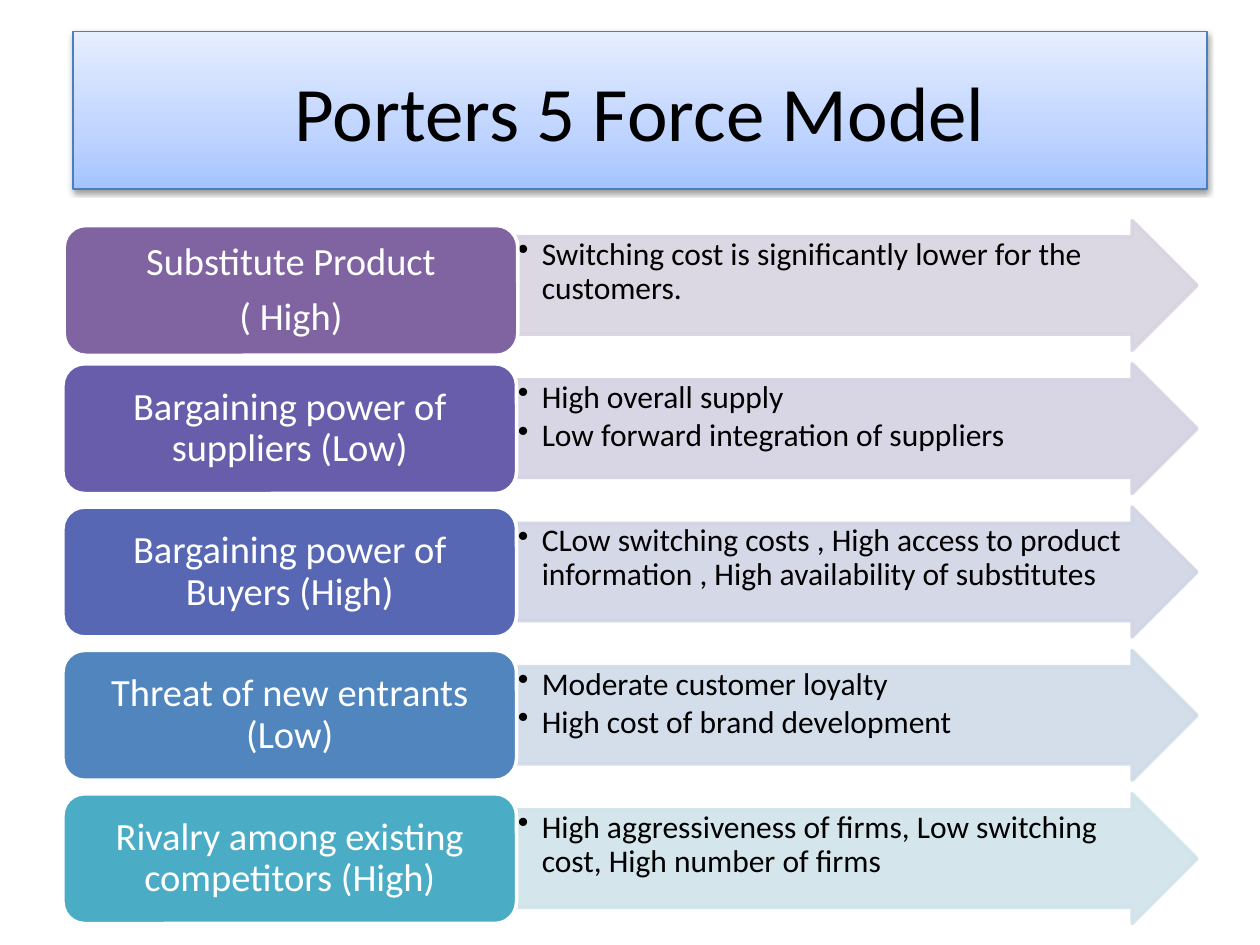
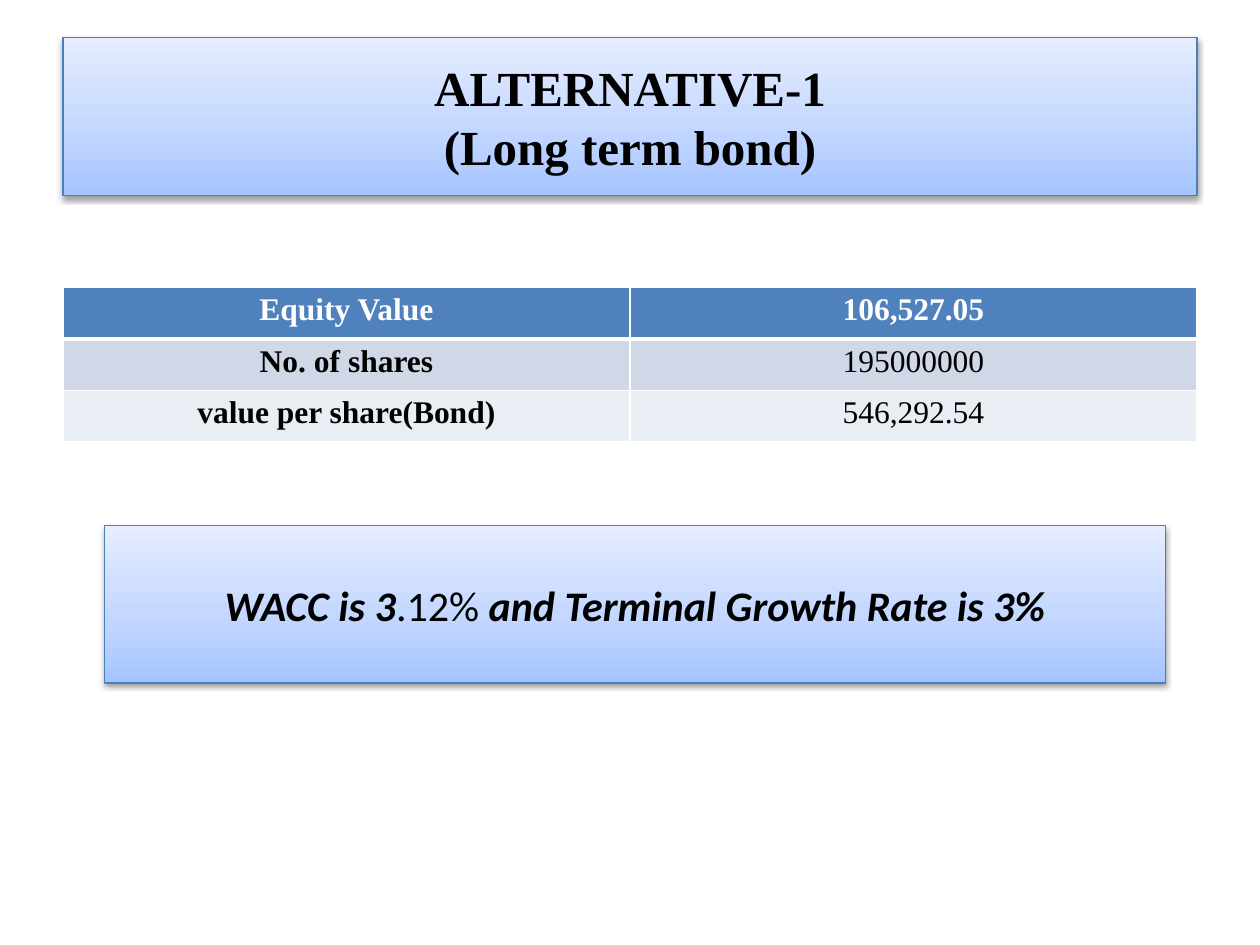
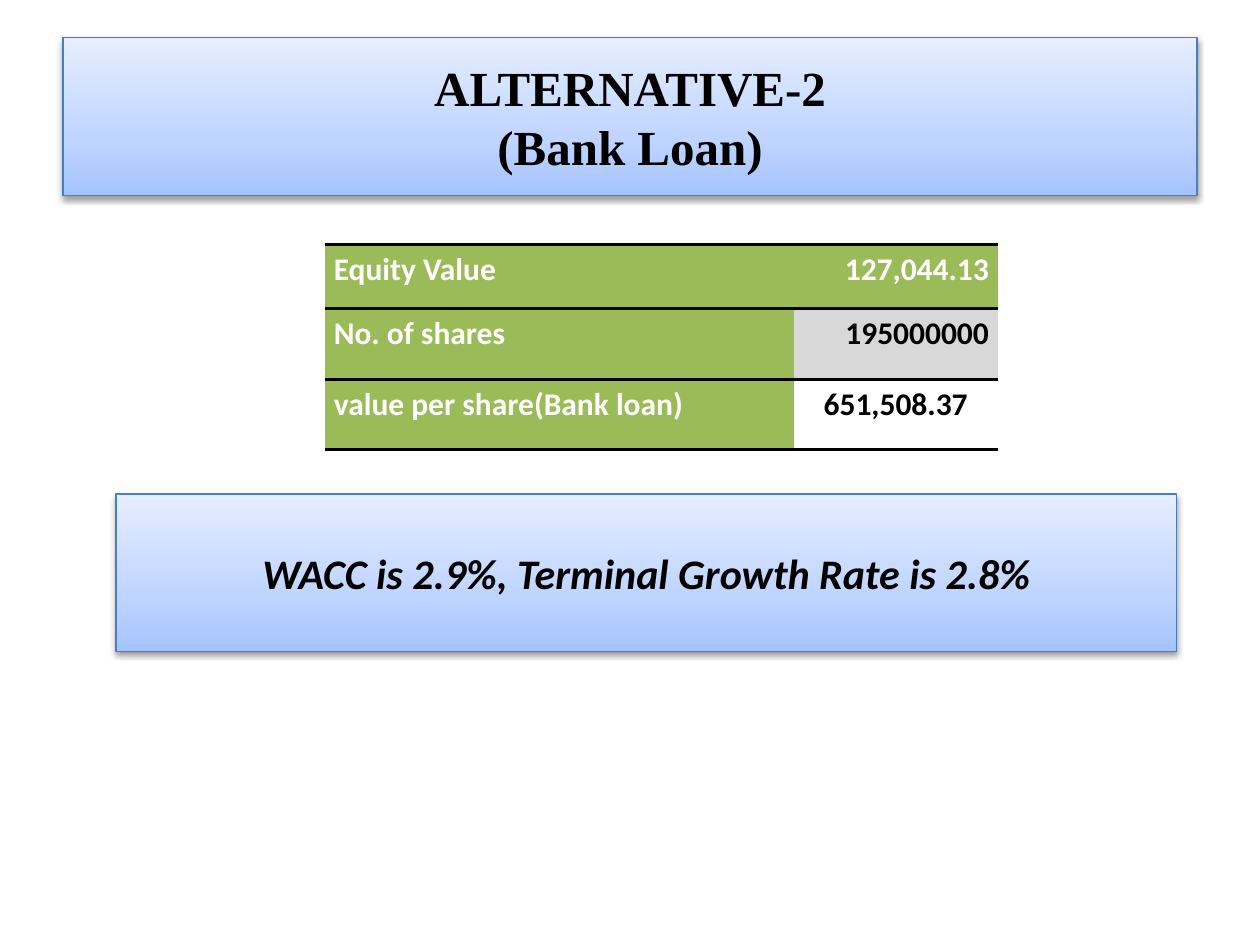
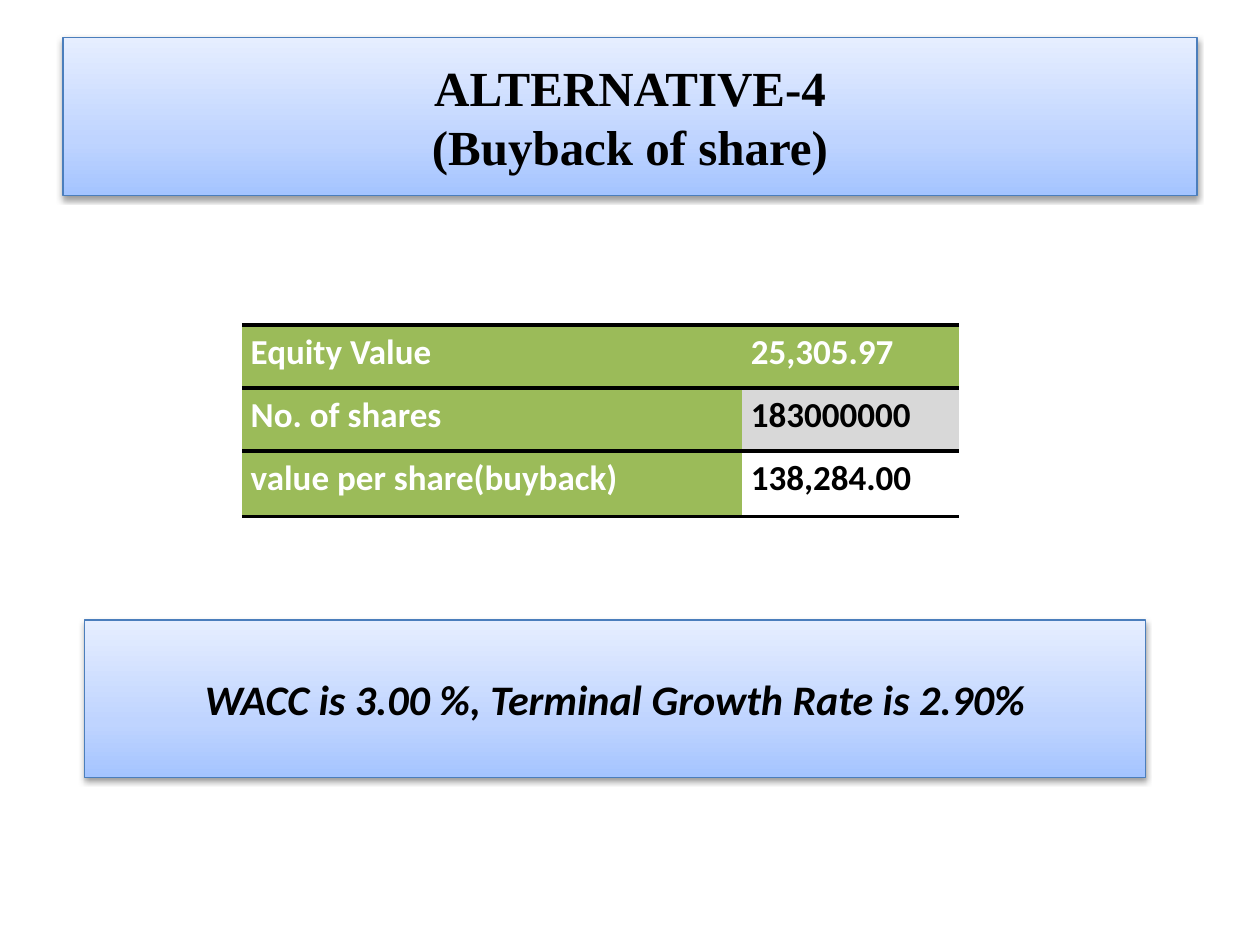
from lxml.etree import SubElement
from pptx import Presentation
from pptx.dml.color import RGBColor
from pptx.enum.shapes import MSO_SHAPE
from pptx.enum.text import MSO_ANCHOR, PP_ALIGN
from pptx.oxml import parse_xml
from pptx.oxml.ns import nsdecls, qn
from pptx.util import Inches, Pt

COLORS = {
    "black": "000000", "white": "FFFFFF", "panel_line": "4B7EBC",
    "panel_low": "A4C4FF", "panel_mid": "BFD4FF", "panel_high": "E6EEFF",
    "blue": "4F81BD", "band_dark": "D0D8E8", "band_light": "E9EDF4",
    "green": "9BBB59", "grey": "D8D8D8",
}
SANS, SERIF = "Calibri", "Times New Roman"
LEFT, CENTER, RIGHT = PP_ALIGN.LEFT, PP_ALIGN.CENTER, PP_ALIGN.RIGHT
PANEL_H = 1.25
NOTE_W = 8.42
NO_STYLE = "{2D5ABB26-0587-4C30-8999-92F81FD0307C}"

FORCES = [
    (["Substitute Product", "( High)"],
     ["Switching cost is significantly lower for the customers."],
     "8064A2", "D8D3E0", (0.01, 0.04)),
    (["Bargaining power of suppliers (Low)"],
     ["High overall supply", "Low forward integration of suppliers"],
     "685DAB", "D4D2E3", (0, 0)),
    (["Bargaining power of Buyers (High)"],
     ["CLow switching costs , High access to product information , "
      "High availability of substitutes"],
     "5767B4", "D1D4E5", (0, 0)),
    (["Threat of new entrants (Low)"],
     ["Moderate customer loyalty", "High cost of brand development"],
     "5185BD", "D0DBE8", (0, 0)),
    (["Rivalry among existing competitors (High)"],
     ["High aggressiveness of firms, Low switching cost, High number of firms"],
     "4BACC6", "D0E3EA", (0, 0)),
]
FORCE_X, FORCE_W, ARROW_W, FORCE_H = 0.5, 3.6, 5.4, 1.03
FORCE_TOP, FORCE_LAST = 1.75, 6.3

BLUE_TABLE = {
    "font": SERIF, "boxed": True,
    "fills": [("blue", "blue"), ("band_dark",) * 2, ("band_light",) * 2],
    "inks": [("white", "white"), ("black", "black"), ("black", "black")],
    "bold": [(True, True), (True, False), (True, False)],
}
GREEN_TABLE = {
    "font": SANS, "boxed": False,
    "fills": [("green", "green"), ("green", "grey"), ("green", None)],
    "inks": [("white", "white"), ("white", "black"), ("white", "black")],
    "bold": [(True, True)] * 3,
}
ALTERNATIVES = [
    {"title": "ALTERNATIVE-1\n(Long term bond)",
     "rows": [("Equity Value", "106,527.05"), ("No. of shares", "195000000"),
              ("value per share(Bond)", "546,292.54")],
     "style": BLUE_TABLE, "size": 18, "at": (0.5, 2.28),
     "cols": (4.5, 4.5), "heights": (0.41, 0.41, 0.41),
     "aligns": [(CENTER, CENTER)] * 3,
     "note": [("WACC is 3", True), (".12%", False),
              (" and Terminal Growth Rate is 3%", True)],
     "note_at": (0.83, 4.17)},
    {"title": "ALTERNATIVE-2\n(Bank Loan)",
     "rows": [("Equity Value", "127,044.13"), ("No. of shares", "195000000"),
              ("value per share(Bank loan)", "651,508.37")],
     "style": GREEN_TABLE, "size": 18, "at": (2.58, 1.94),
     "cols": (3.72, 1.62), "heights": (0.51, 0.56, 0.56),
     "aligns": [(LEFT, RIGHT), (LEFT, RIGHT), (LEFT, CENTER)],
     "note": [("WACC is 2.9%, Terminal Growth Rate is 2.8%", True)],
     "note_at": (0.92, 3.92)},
    {"title": "ALTERNATIVE-4\n(Buyback of share)",
     "rows": [("Equity Value", "25,305.97"), ("No. of shares", "183000000"),
              ("value per share(buyback)", "138,284.00")],
     "style": GREEN_TABLE, "size": 20, "at": (1.92, 2.58),
     "cols": (3.97, 1.72), "heights": (0.5, 0.5, 0.52),
     "aligns": [(LEFT, LEFT)] * 3,
     "note": [("WACC is 3.00 %, Terminal Growth Rate is 2.90%", True)],
     "note_at": (0.67, 4.92)},
]


def rgb(name):
    return RGBColor.from_string(COLORS.get(name, name))


def write(tf, paragraphs, size=18, font=SANS, color="black", bold=False,
          align=LEFT, anchor=MSO_ANCHOR.MIDDLE, spacing=None, after=None,
          bullet=False, margins=None):
    tf.word_wrap = True
    tf.vertical_anchor = anchor
    if margins:
        tf.margin_left = tf.margin_right = Inches(margins[0])
        tf.margin_top = tf.margin_bottom = Inches(margins[1])
    for i, runs in enumerate(paragraphs):
        p = tf.add_paragraph() if i else tf.paragraphs[0]
        p.alignment = align
        if spacing:
            p.line_spacing = spacing
        if after:
            p.space_after = Pt(after)
        if bullet:
            p.level = 1
            pPr = p._p.get_or_add_pPr()
            pPr.set("marL", str(Inches(0.19)))
            pPr.set("indent", str(-Inches(0.19)))
            SubElement(pPr, qn("a:buChar")).set("char", "•")
        for text, strong in [(runs, None)] if isinstance(runs, str) else runs:
            for j, line in enumerate(text.split("\n")):
                if j:
                    p.add_line_break()
                r = p.add_run()
                r.text = line
                r.font.size, r.font.name = Pt(size), font
                r.font.color.rgb = rgb(color)
                r.font.bold = bold if strong is None else strong
                r.font.italic = bool(strong)


def place(sp, x, y, w, h):
    sp.left, sp.top, sp.width, sp.height = map(Inches, (x, y, w, h))


def style_panel(sp):
    stops = "".join(
        f'<a:gs pos="{pos * 1000}"><a:srgbClr val="{COLORS[name]}"/></a:gs>'
        for pos, name in [(0, "panel_low"), (35, "panel_mid"), (100, "panel_high")])
    spPr = sp._element.spPr
    spPr.append(parse_xml(
        f'<a:gradFill {nsdecls("a")} rotWithShape="1"><a:gsLst>{stops}</a:gsLst>'
        '<a:lin ang="16200000" scaled="0"/></a:gradFill>'))
    sp.line.color.rgb = rgb("panel_line")
    sp.line.width = Pt(0.75)
    spPr.append(parse_xml(
        f'<a:effectLst {nsdecls("a")}><a:outerShdw blurRad="{Pt(3.1)}" '
        f'dist="{Pt(1.6)}" dir="5400000" rotWithShape="0">'
        f'<a:srgbClr val="{COLORS["black"]}"><a:alpha val="38000"/></a:srgbClr>'
        '</a:outerShdw></a:effectLst>'))


def titled_slide(prs, text, x, y, **fmt):
    slide = prs.slides.add_slide(prs.slide_layouts[5])
    title = slide.shapes.title
    place(title, x, y, 9, PANEL_H)
    style_panel(title)
    write(title.text_frame, [text], align=CENTER, **fmt)
    return slide


def add_block(slide, kind, x, y, w, fill, line, alpha=None):
    sp = slide.shapes.add_shape(kind, *map(Inches, (x, y, w, FORCE_H)))
    sp.shadow.inherit = False
    sp.fill.solid()
    sp.fill.fore_color.rgb = rgb(fill)
    sp.line.color.rgb = rgb(line)
    sp.line.width = Pt(2)
    if alpha:
        for clr in sp._element.spPr.iter(qn("a:srgbClr")):
            SubElement(clr, qn("a:alpha")).set("val", str(alpha * 1000))
    return sp


def build_forces(prs):
    slide = titled_slide(prs, "Porters 5 Force Model", 0.58, 0.25, size=44)
    pitch = (FORCE_LAST - FORCE_TOP) / (len(FORCES) - 1)
    for i, (name, points, dark, pale, (dx, dy)) in enumerate(FORCES):
        y = FORCE_TOP + i * pitch
        arrow = add_block(slide, MSO_SHAPE.RIGHT_ARROW, FORCE_X + FORCE_W, y,
                          ARROW_W, pale, pale, alpha=90)
        arrow.adjustments[0] = 0.75
        write(arrow.text_frame, points, anchor=MSO_ANCHOR.TOP, spacing=0.9,
              after=2.5, bullet=True, margins=(0.01, 0.01))
        box = add_block(slide, MSO_SHAPE.ROUNDED_RECTANGLE, FORCE_X + dx, y + dy,
                        FORCE_W, dark, "white")
        write(box.text_frame, name, size=22, color="white", align=CENTER,
              spacing=0.9, after=8, margins=(0.09, 0.05))


def cell_borders(row, last, boxed):
    if boxed:
        widths = {"L": 1, "R": 1, "T": 3 if row == 1 else 1, "B": 1 if row else 3}
        return "white", widths
    sides = {0: "TB", 1: "T", last: "B"}.get(row, "")
    return "black", {side: 2.25 for side in sides}


def set_borders(cell, color, widths):
    tcPr = cell._tc.get_or_add_tcPr()
    for side in "LRTB":
        if side in widths:
            ln = SubElement(tcPr, qn(f"a:ln{side}"), w=str(Pt(widths[side])))
            fill = SubElement(ln, qn("a:solidFill"))
            SubElement(fill, qn("a:srgbClr"), val=COLORS[color])


def add_value_table(slide, alt):
    rows, style = alt["rows"], alt["style"]
    size = (sum(alt["cols"]), sum(alt["heights"]))
    frame = slide.shapes.add_table(len(rows), len(alt["cols"]),
                                   *map(Inches, alt["at"] + size))
    table = frame.table
    table._tbl.tblPr.find(qn("a:tableStyleId")).text = NO_STYLE
    for col, width in zip(table.columns, alt["cols"]):
        col.width = Inches(width)
    for i, texts in enumerate(rows):
        table.rows[i].height = Inches(alt["heights"][i])
        for j, text in enumerate(texts):
            cell = table.cell(i, j)
            write(cell.text_frame, [text], size=alt["size"], font=style["font"],
                  color=style["inks"][i][j], bold=style["bold"][i][j],
                  align=alt["aligns"][i][j], anchor=None, spacing=1.15)
            cell.vertical_anchor = MSO_ANCHOR.TOP
            cell.margin_left = cell.margin_right = Inches(0.07)
            cell.margin_top = cell.margin_bottom = 0
            set_borders(cell, *cell_borders(i, len(rows) - 1, style["boxed"]))
            fill = style["fills"][i][j]
            if fill:
                cell.fill.solid()
                cell.fill.fore_color.rgb = rgb(fill)
            else:
                cell.fill.background()


def build_alternative(prs, alt):
    slide = titled_slide(prs, alt["title"], 0.5, 0.3, size=28, font=SERIF, bold=True)
    note = slide.shapes.add_shape(
        MSO_SHAPE.RECTANGLE, *map(Inches, alt["note_at"] + (NOTE_W, PANEL_H)))
    style_panel(note)
    write(note.text_frame, [alt["note"]], size=24, align=CENTER)
    add_value_table(slide, alt)


def main():
    prs = Presentation()
    prs.slide_width, prs.slide_height = Inches(10), Inches(7.5)
    build_forces(prs)
    for alt in ALTERNATIVES:
        build_alternative(prs, alt)
    prs.save("out.pptx")


if __name__ == "__main__":
    main()
